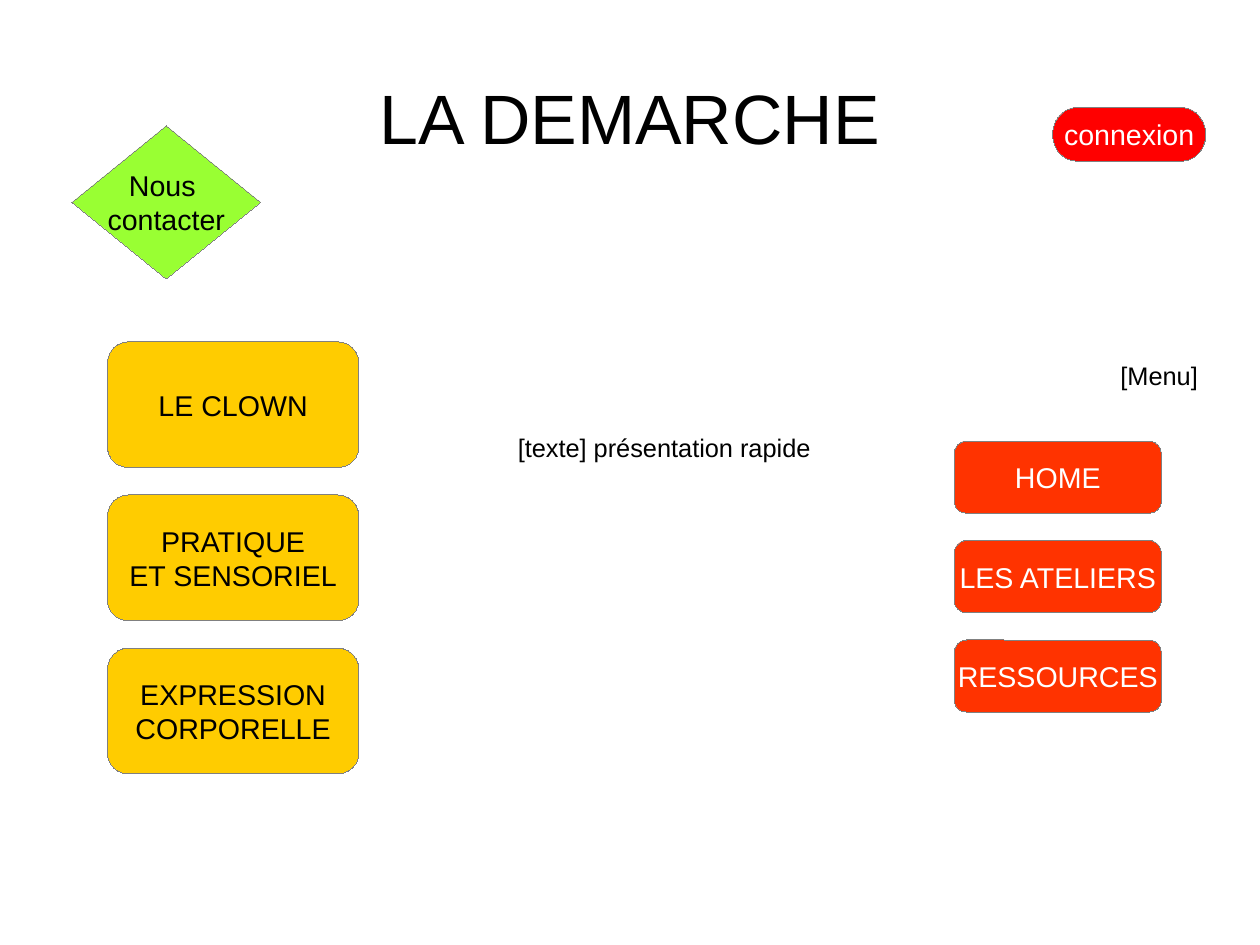
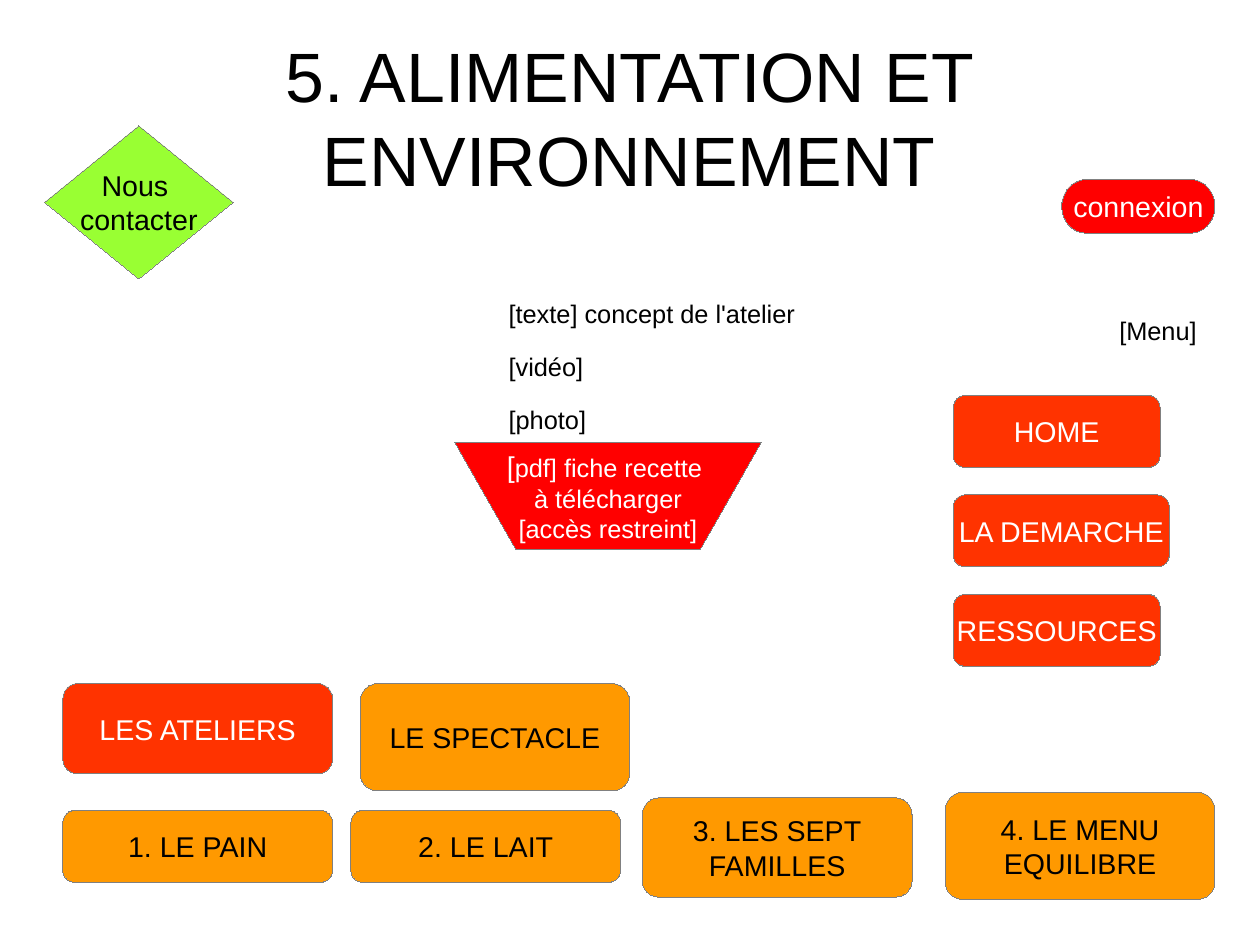
from dataclasses import dataclass

import pptx
import pptx.dml.color
import pptx.enum.shapes
import pptx.enum.text
import pptx.oxml
import pptx.oxml.ns
import pptx.presentation
import pptx.shapes.placeholder
import pptx.slide
import pptx.text.text
import pptx.util

Inches = pptx.util.Inches
Pt = pptx.util.Pt
RGBColor = pptx.dml.color.RGBColor
Geometry = pptx.enum.shapes.MSO_SHAPE
Align = pptx.enum.text.PP_ALIGN
Anchor = pptx.enum.text.MSO_ANCHOR

BLACK = RGBColor(0x00, 0x00, 0x00)
WHITE = RGBColor(0xFF, 0xFF, 0xFF)
GRAY = RGBColor(0x80, 0x80, 0x80)
YELLOW = RGBColor(0xFF, 0xCC, 0x00)
ORANGE = RGBColor(0xFF, 0x99, 0x00)
VERMILION = RGBColor(0xFF, 0x33, 0x00)
RED = RGBColor(0xFF, 0x00, 0x00)
GREEN = RGBColor(0x99, 0xFF, 0x33)

FONT = "Arial"
TITLE_SIZE, BODY_SIZE, BUTTON_SIZE = 44, 16, 18
TWO_CONTENT_LAYOUT = 3
BUTTON_GAP = 0.24
CENTIMETERS_PER_INCH = 2.54


@dataclass(frozen=True)
class Box:
    left: float
    top: float
    width: float
    height: float


@dataclass(frozen=True)
class Span:
    text: str
    size: float = BUTTON_SIZE


@dataclass(frozen=True)
class Button:
    box: Box
    lines: tuple[str | tuple[Span, ...], ...]
    fill: RGBColor
    color: RGBColor = BLACK
    geometry: Geometry = Geometry.FLOWCHART_ALTERNATE_PROCESS


@dataclass(frozen=True)
class Page:
    title: str
    body_box: Box
    body: tuple[str, ...]
    menu_box: Box
    buttons: tuple[Button, ...]


def column(box: Box, labels: tuple[tuple[str, ...], ...], fill: RGBColor,
           color: RGBColor) -> tuple[Button, ...]:
    """Stack equal buttons downwards from the first box."""
    step = box.height + BUTTON_GAP
    return tuple(
        Button(Box(box.left, box.top + index * step, box.width, box.height), lines, fill, color)
        for index, lines in enumerate(labels)
    )


def menu_button(box: Box, label: str) -> Button:
    return Button(box, (label,), VERMILION, WHITE)


def login_button(left: float, top: float) -> Button:
    return Button(Box(left, top, 1.34, 0.47), ("connexion",), RED, WHITE,
                  Geometry.FLOWCHART_TERMINATOR)


def contact_button(left: float) -> Button:
    return Button(Box(left, 1.1, 1.65, 1.34), ("Nous ", "contacter"), GREEN,
                  geometry=Geometry.FLOWCHART_DECISION)


PAGES = (
    Page(
        "LA DEMARCHE",
        Box(4.06, 3.78, 3.19, 1.18),
        ("[texte] présentation rapide",),
        Box(7.8, 3.15, 2.68, 3.39),
        (
            *column(
                Box(0.94, 2.99, 2.2, 1.1),
                (("LE CLOWN",), ("PRATIQUE", "ET SENSORIEL"), ("EXPRESSION", "CORPORELLE")),
                YELLOW, BLACK,
            ),
            *column(
                Box(8.35, 3.86, 1.81, 0.63),
                (("HOME",), ("LES ATELIERS",), ("RESSOURCES",)),
                VERMILION, WHITE,
            ),
            login_button(9.21, 0.94),
            contact_button(0.63),
        ),
    ),
    Page(
        "5. ALIMENTATION ET ENVIRONNEMENT",
        Box(3.98, 2.61, 3.19, 2.27),
        ("[texte] concept de l'atelier", "[vidéo]", "[photo]"),
        Box(7.79, 2.76, 2.68, 3.39),
        (
            menu_button(Box(8.34, 3.46, 1.81, 0.63), "HOME"),
            menu_button(Box(8.34, 4.33, 1.89, 0.63), "LA DEMARCHE"),
            menu_button(Box(8.34, 5.2, 1.81, 0.63), "RESSOURCES"),
            menu_button(Box(0.55, 5.98, 2.36, 0.79), "LES ATELIERS"),
            Button(Box(3.15, 5.98, 2.36, 0.94), ("LE SPECTACLE",), ORANGE),
            Button(Box(0.55, 7.09, 2.36, 0.63), ("1. LE PAIN",), ORANGE),
            Button(Box(3.07, 7.09, 2.36, 0.63), ("2. LE LAIT",), ORANGE),
            Button(Box(5.62, 6.98, 2.36, 0.87), ("3. LES SEPT", "FAMILLES"), ORANGE),
            Button(Box(8.27, 6.93, 2.36, 0.94), ("4. LE MENU", "EQUILIBRE"), ORANGE),
            Button(
                Box(3.98, 3.87, 2.68, 0.94),
                (
                    (Span("["), Span("pdf] fiche recette ", BODY_SIZE)),
                    (Span("à télécharger", BODY_SIZE),),
                    (Span("[accès restreint]", BODY_SIZE),),
                ),
                RED, WHITE, Geometry.FLOWCHART_MANUAL_OPERATION,
            ),
            login_button(9.29, 1.57),
            contact_button(0.39),
        ),
    ),
)


def add_run(paragraph: pptx.text.text._Paragraph, span: Span, color: RGBColor) -> None:
    run = paragraph.add_run()
    run.text = span.text
    run.font.name = FONT
    run.font.size = Pt(span.size)
    run.font.color.rgb = color


def add_paragraph(frame: pptx.text.text.TextFrame, index: int) -> pptx.text.text._Paragraph:
    """Return the first paragraph of a frame, or a new one after it."""
    return frame.add_paragraph() if index else frame.paragraphs[0]


def fill_placeholder(placeholder: pptx.shapes.placeholder.SlidePlaceholder, box: Box,
                     lines: tuple[str, ...], size: float, alignment: Align,
                     anchor: Anchor) -> None:
    placeholder.left, placeholder.top = Inches(box.left), Inches(box.top)
    placeholder.width, placeholder.height = Inches(box.width), Inches(box.height)
    frame = placeholder.text_frame
    frame.margin_left = frame.margin_top = frame.margin_right = frame.margin_bottom = 0
    frame.word_wrap = True
    frame.auto_size = pptx.enum.text.MSO_AUTO_SIZE.NONE
    frame.vertical_anchor = anchor
    for index, line in enumerate(lines):
        paragraph = add_paragraph(frame, index)
        paragraph.alignment = alignment
        add_run(paragraph, Span(line, size), BLACK)


def style_list(placeholder: pptx.shapes.placeholder.SlidePlaceholder) -> None:
    """Indent the paragraphs, space them and take their bullets away."""
    for paragraph in placeholder.text_frame.paragraphs:
        paragraph.space_before = Pt(0)
        paragraph.space_after = Pt(14.1)
        properties = paragraph._p.get_or_add_pPr()
        properties.set("marL", str(Inches(0.47)))
        properties.set("indent", "0")
        properties.append(pptx.oxml.parse_xml(f"<a:buNone {pptx.oxml.ns.nsdecls('a')}/>"))


def add_button(slide: pptx.slide.Slide, button: Button) -> None:
    box = button.box
    shape = slide.shapes.add_shape(button.geometry, Inches(box.left), Inches(box.top),
                                   Inches(box.width), Inches(box.height))
    shape.shadow.inherit = False
    shape.fill.solid()
    shape.fill.fore_color.rgb = button.fill
    shape.line.color.rgb = GRAY
    # The width property drops a zero, so the hairline is written as an attribute.
    shape.line._get_or_add_ln().set("w", "0")
    frame = shape.text_frame
    frame.word_wrap = False
    frame.vertical_anchor = Anchor.MIDDLE
    for index, line in enumerate(button.lines):
        paragraph = add_paragraph(frame, index)
        paragraph.alignment = Align.CENTER
        for span in (Span(line),) if isinstance(line, str) else line:
            add_run(paragraph, span, button.color)


def add_page(presentation: pptx.presentation.Presentation, page: Page) -> None:
    slide = presentation.slides.add_slide(presentation.slide_layouts[TWO_CONTENT_LAYOUT])
    title, body, menu = slide.placeholders
    fill_placeholder(title, Box(0.55, 0.33, 9.92, 1.38), (page.title,), TITLE_SIZE,
                     Align.CENTER, Anchor.MIDDLE)
    fill_placeholder(body, page.body_box, page.body, BODY_SIZE, Align.LEFT, Anchor.TOP)
    fill_placeholder(menu, page.menu_box, ("[Menu]",), BODY_SIZE, Align.RIGHT, Anchor.TOP)
    style_list(body)
    style_list(menu)
    for button in page.buttons:
        add_button(slide, button)


def set_slide_size(presentation: pptx.presentation.Presentation) -> None:
    """Use a custom size of 28 by 21 centimeters."""
    presentation.slide_width = Inches(28 / CENTIMETERS_PER_INCH)
    presentation.slide_height = Inches(21 / CENTIMETERS_PER_INCH)
    presentation.element.sldSz.attrib.pop("type", None)


def main() -> None:
    presentation = pptx.Presentation()
    set_slide_size(presentation)
    for page in PAGES:
        add_page(presentation, page)
    presentation.save("out.pptx")


if __name__ == "__main__":
    main()
